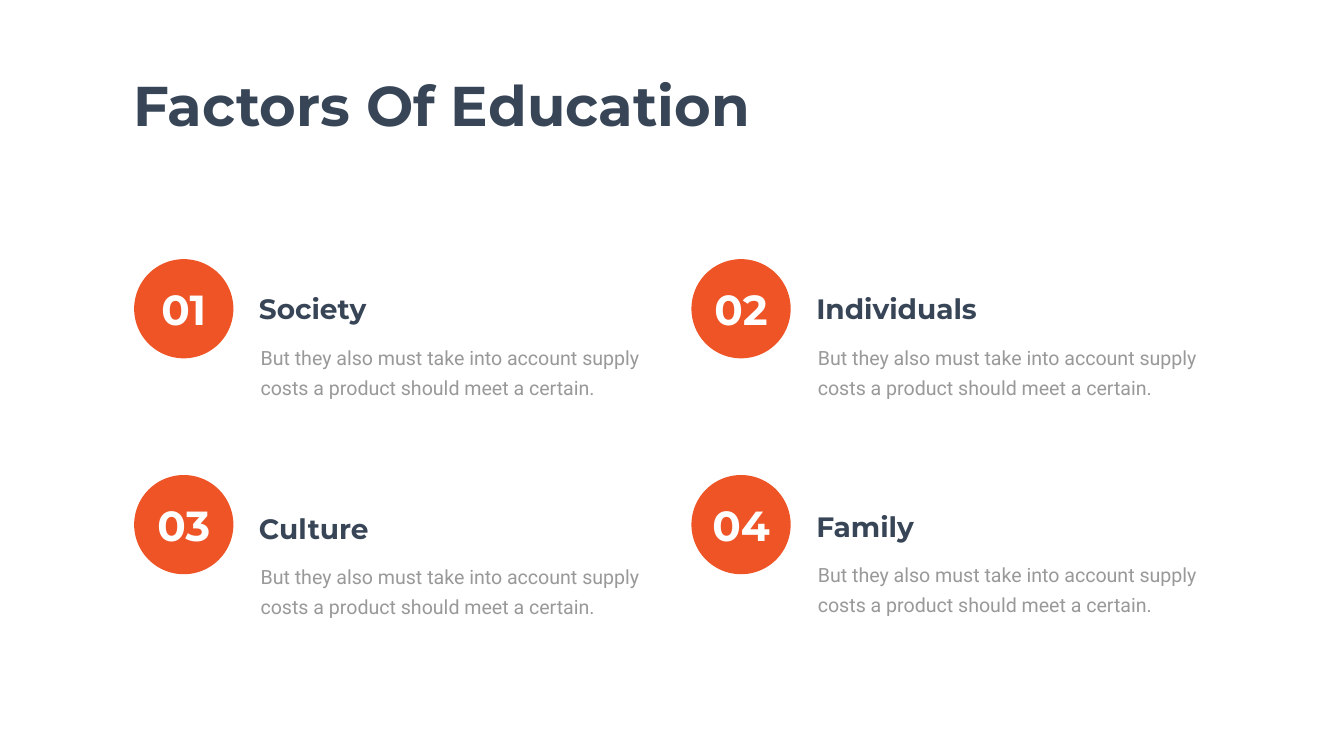
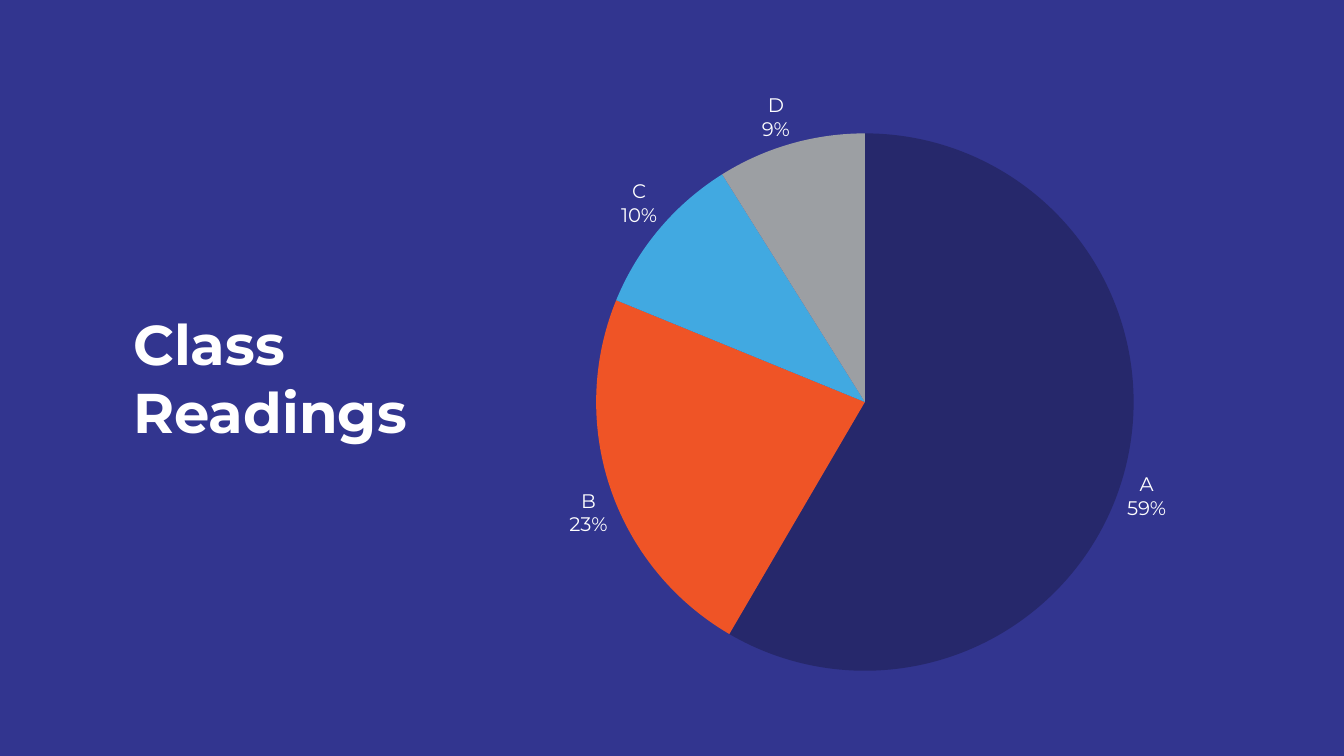
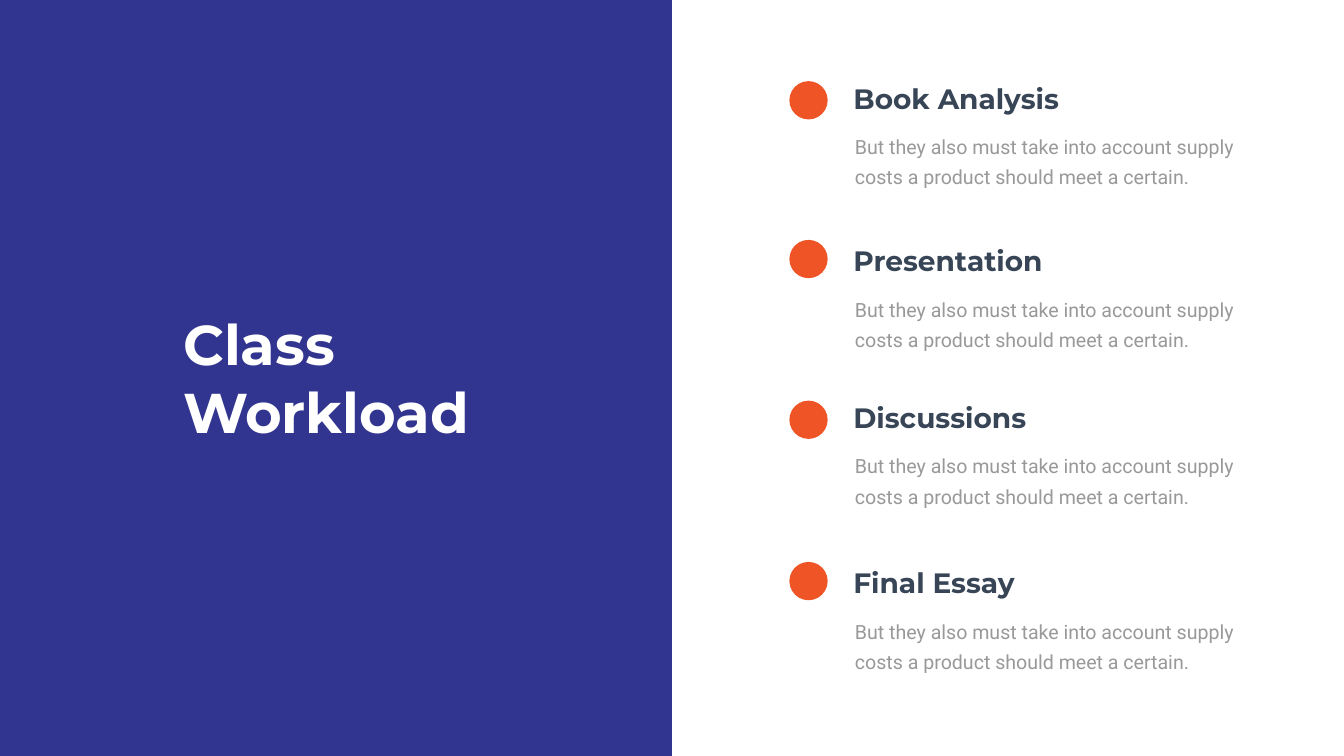
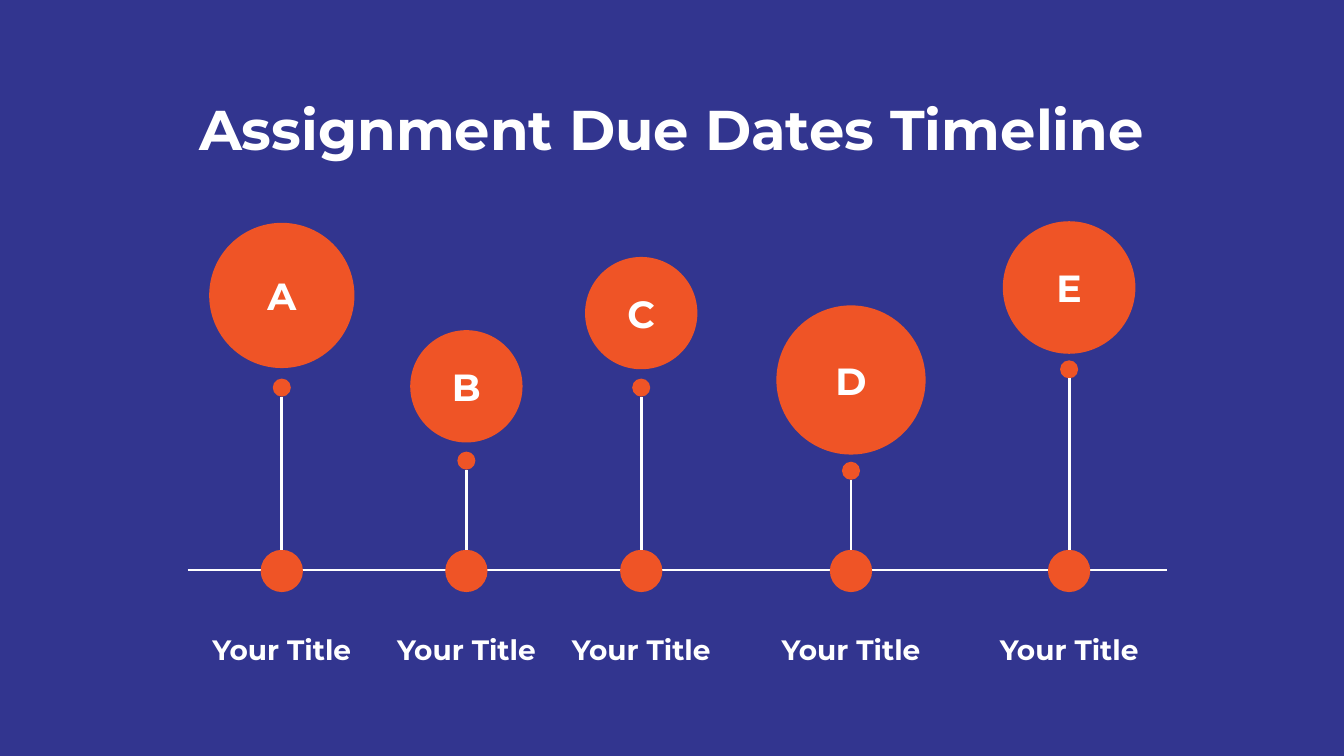
from lxml import etree
from pptx import Presentation
from pptx.chart.data import CategoryChartData
from pptx.dml.color import RGBColor
from pptx.enum.chart import XL_CHART_TYPE as ChartType, XL_LABEL_POSITION as LabelPosition
from pptx.enum.shapes import MSO_CONNECTOR as Connector, MSO_SHAPE as Preset
from pptx.enum.text import MSO_ANCHOR as Anchor, MSO_AUTO_SIZE as AutoSize, PP_ALIGN as Align
from pptx.oxml.ns import qn
from pptx.util import Cm, Pt

WIDTH, HEIGHT = 67.72, 38.1
INDIGO = RGBColor(0x32, 0x35, 0x8F)
NAVY = RGBColor(0x26, 0x28, 0x6B)
ORANGE = RGBColor(0xEF, 0x54, 0x26)
SKY = RGBColor(0x41, 0xA9, 0xE1)
SILVER = RGBColor(0x9C, 0x9F, 0xA3)
SLATE = RGBColor(0x37, 0x45, 0x56)
GREY = RGBColor(0x99, 0x99, 0x99)
WHITE = RGBColor(0xFF, 0xFF, 0xFF)
TITLE_ONLY = 5
BLURB = "But they also must take into account supply costs a product should meet a certain."
NO_INSETS = dict.fromkeys(("margin_left", "margin_top", "margin_right", "margin_bottom"), 0)
BLURB_INSETS = {"margin_left": Cm(0.61), "margin_top": Cm(0.3),
                "margin_right": Cm(0.61), "margin_bottom": Cm(0.3)}


def apply(target, values):
    for name, value in values.items():
        setattr(target, name, value)


def style_font(font, size, color, name="Montserrat", bold=True):
    apply(font, {"size": Pt(size), "name": name, "bold": bold})
    font.color.rgb = color


def write(frame, text, size, color, align=Align.LEFT, anchor=Anchor.TOP, wrap=True,
          frame_values=None, para_values=None, **font_values):
    apply(frame, {"word_wrap": wrap, "auto_size": AutoSize.NONE, "vertical_anchor": anchor})
    apply(frame, frame_values or {})
    para = frame.paragraphs[0]
    apply(para, {"alignment": align, **(para_values or {})})
    span = para.add_run()
    span.text = text
    style_font(span.font, size, color, **font_values)


def place(shape, box):
    apply(shape, dict(zip(("left", "top", "width", "height"), map(Cm, box))))


def add_text(page, box, text, size, color, **options):
    frame = page.shapes.add_textbox(*map(Cm, box)).text_frame
    write(frame, text, size, color, **options)


def add_solid(page, preset, box, color):
    shape = page.shapes.add_shape(preset, *map(Cm, box))
    shape.shadow.inherit = False
    shape.fill.solid()
    shape.fill.fore_color.rgb = color
    shape.line.fill.background()
    return shape


def add_disc(page, center_x, top, diameter, label=None, size=0):
    box = (center_x - diameter / 2, top, diameter, diameter)
    disc = add_solid(page, Preset.OVAL, box, ORANGE)
    if label:
        write(disc.text_frame, label, size, WHITE, align=Align.CENTER,
              anchor=Anchor.MIDDLE, wrap=False, frame_values=NO_INSETS)


def add_rule(page, start, end):
    rule = page.shapes.add_connector(Connector.STRAIGHT, *map(Cm, start + end))
    rule.line.color.rgb = WHITE
    rule.line.width = Pt(4)
    etree.SubElement(rule.element.spPr, qn("a:effectLst"))


def add_page(deck, title, title_box, color=WHITE, align=Align.LEFT, panel_width=0):
    page = deck.slides.add_slide(deck.slide_layouts[TITLE_ONLY])
    if panel_width:
        panel = add_solid(page, Preset.RECTANGLE, (0, 0, panel_width, HEIGHT), INDIGO)
        page.shapes.element.insert(2, panel.element)
    place(page.shapes.title, title_box)
    write(page.shapes.title.text_frame, title, 80, color, align=align)
    return page


def add_topic(page, left, top, heading):
    add_text(page, (left - 0.28, top + 2.2, 20.68, 3.53), BLURB, 28, GREY,
             name="Roboto", bold=False, frame_values=BLURB_INSETS,
             para_values={"line_spacing": Pt(43)})
    add_text(page, (left, top, 12.12, 1.96), heading, 40, SLATE)


def add_factor(page, left, top, number, heading, drop):
    add_topic(page, left + 6.04, top + drop, heading)
    add_disc(page, left + 2.5, top, 5, f"{number:02d}", 60)


def build_factors(deck):
    page = add_page(deck, "Factors Of Education", (6.45, 3.43, 34.9, 3.68), SLATE)
    factors = (("Society", 1.52), ("Individuals", 1.52), ("Culture", 1.7), ("Family", 1.6))
    for index, (heading, drop) in enumerate(factors):
        row, column = divmod(index, 2)
        add_factor(page, 6.76 + 28.08 * column, 13.06 + 10.88 * row, index + 1, heading, drop)


def set_plot_box(chart, box):
    area = next(chart.element.iter(qn("c:plotArea")))
    for layout in area.findall(qn("c:layout")):
        area.remove(layout)
    layout = etree.Element(qn("c:layout"))
    manual = etree.SubElement(layout, qn("c:manualLayout"))
    settings = {"layoutTarget": "inner", "xMode": "edge", "yMode": "edge",
                **dict(zip("xywh", box))}
    for name, value in settings.items():
        etree.SubElement(manual, qn(f"c:{name}"), val=str(value))
    area.insert(0, layout)


def add_readings_pie(page, box):
    data = CategoryChartData()
    data.categories = ["A", "B", "C", "D"]
    data.add_series("Series 1", (59, 23, 10, 9))
    chart = page.shapes.add_chart(ChartType.PIE, *map(Cm, box), data).chart
    apply(chart, {"has_title": False, "has_legend": False})
    style_font(chart.font, 28, WHITE, bold=False)
    plot = chart.plots[0]
    apply(plot, {"vary_by_categories": True, "has_data_labels": True})
    labels = plot.data_labels
    apply(labels, {"show_category_name": True, "show_value": True, "show_percentage": False,
                   "number_format": '0"%"', "number_format_is_linked": False,
                   "position": LabelPosition.OUTSIDE_END})
    style_font(labels.font, 28, WHITE, bold=False)
    for flag in list(chart.element.iter(qn("c:showBubbleSize"))):
        separator = etree.Element(qn("c:separator"))
        separator.text = "\n"
        flag.addnext(separator)
    for index, color in enumerate((NAVY, ORANGE, SKY, SILVER)):
        wedge = plot.series[0].points[index].format
        wedge.fill.solid()
        wedge.fill.fore_color.rgb = color
        wedge.line.fill.background()
    set_plot_box(chart, (0.2, 0.09, 0.6, 0.9))


def build_readings(deck):
    page = add_page(deck, "Class Readings", (6.45, 15.49, 17.68, 7.09), panel_width=WIDTH)
    add_readings_pie(page, (21.01, 4.01, 45.14, 30.1))


def build_workload(deck):
    page = add_page(deck, "Class Workload", (8.97, 15.49, 15.93, 7.09), panel_width=WIDTH / 2)
    tasks = (("Book Analysis", 4.09, 3.96), ("Presentation", 12.09, 12.17),
             ("Discussions", 20.19, 20.07), ("Final Essay", 28.32, 28.4))
    for heading, dot_top, heading_top in tasks:
        add_topic(page, 42.75, heading_top, heading)
        add_disc(page, 40.74, dot_top, 1.93)


def add_milestone(page, center_x, letter, balloon_top, balloon_size, pin_top):
    node_top, node_size, pin_size, label_width = 27.71, 2.13, 0.91, 9.17
    add_disc(page, center_x, node_top, node_size)
    add_disc(page, center_x, pin_top, pin_size)
    add_rule(page, (center_x, node_top), (center_x, pin_top + pin_size))
    add_disc(page, center_x, balloon_top, balloon_size, letter, 54)
    add_text(page, (center_x - label_width / 2, 31.75, label_width, 1.78),
             "Your Title", 40, WHITE, align=Align.CENTER)


def build_timeline(deck):
    page = add_page(deck, "Assignment Due Dates Timeline", (8.94, 4.62, 49.83, 3.68),
                    align=Align.CENTER, panel_width=WIDTH)
    add_rule(page, (9.45, 28.73), (58.78, 28.73))
    milestones = ((14.2, "A", 11.23, 7.32, 19.08), (23.5, "B", 16.64, 5.66, 22.76),
                  (32.31, "C", 12.95, 5.66, 19.08), (42.88, "D", 15.39, 7.52, 23.27),
                  (53.87, "E", 11.15, 6.68, 18.16))
    for milestone in milestones:
        add_milestone(page, *milestone)


def main():
    deck = Presentation()
    apply(deck, {"slide_width": Cm(WIDTH), "slide_height": Cm(HEIGHT)})
    for build in (build_factors, build_readings, build_workload, build_timeline):
        build(deck)
    deck.save("out.pptx")


if __name__ == "__main__":
    main()
